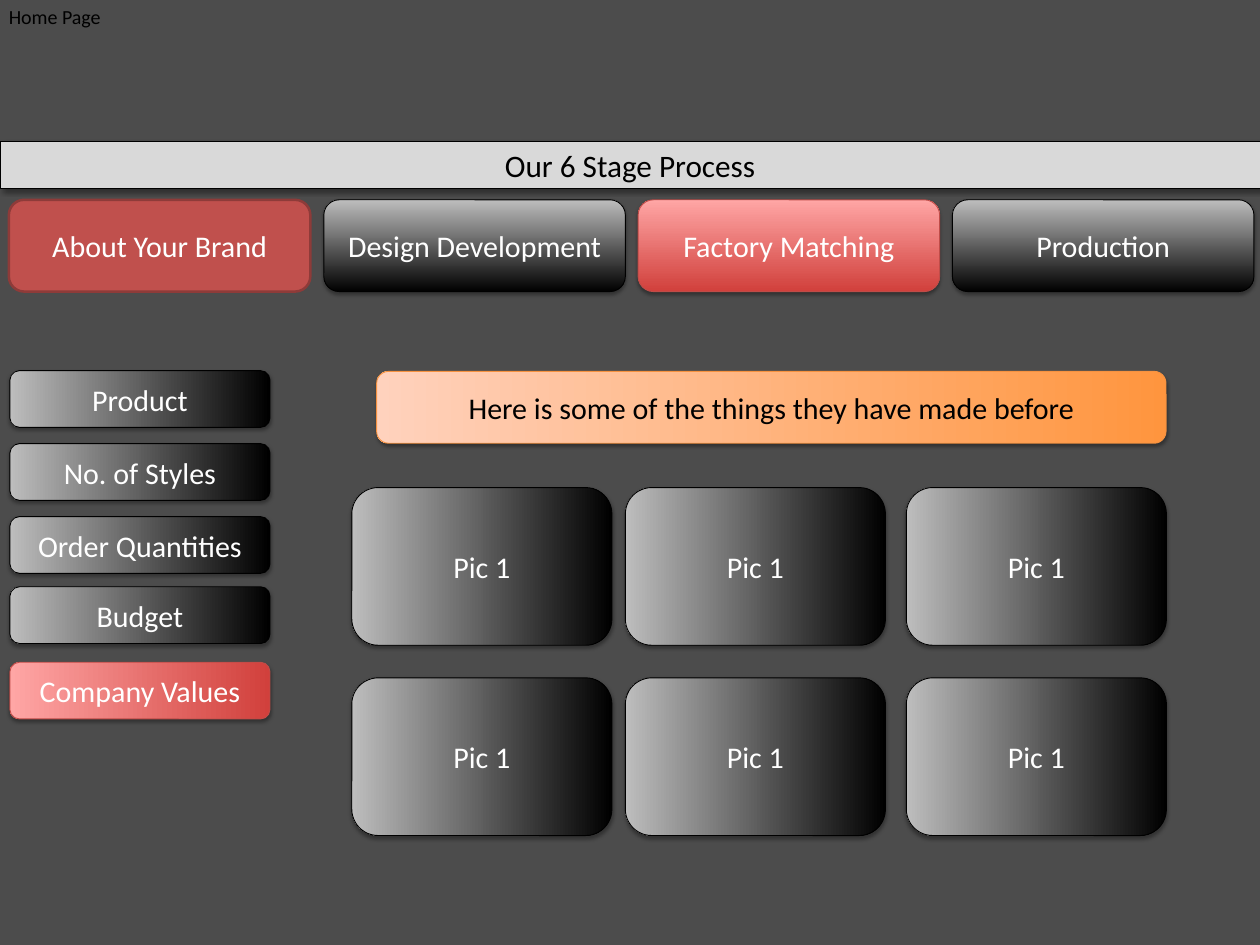
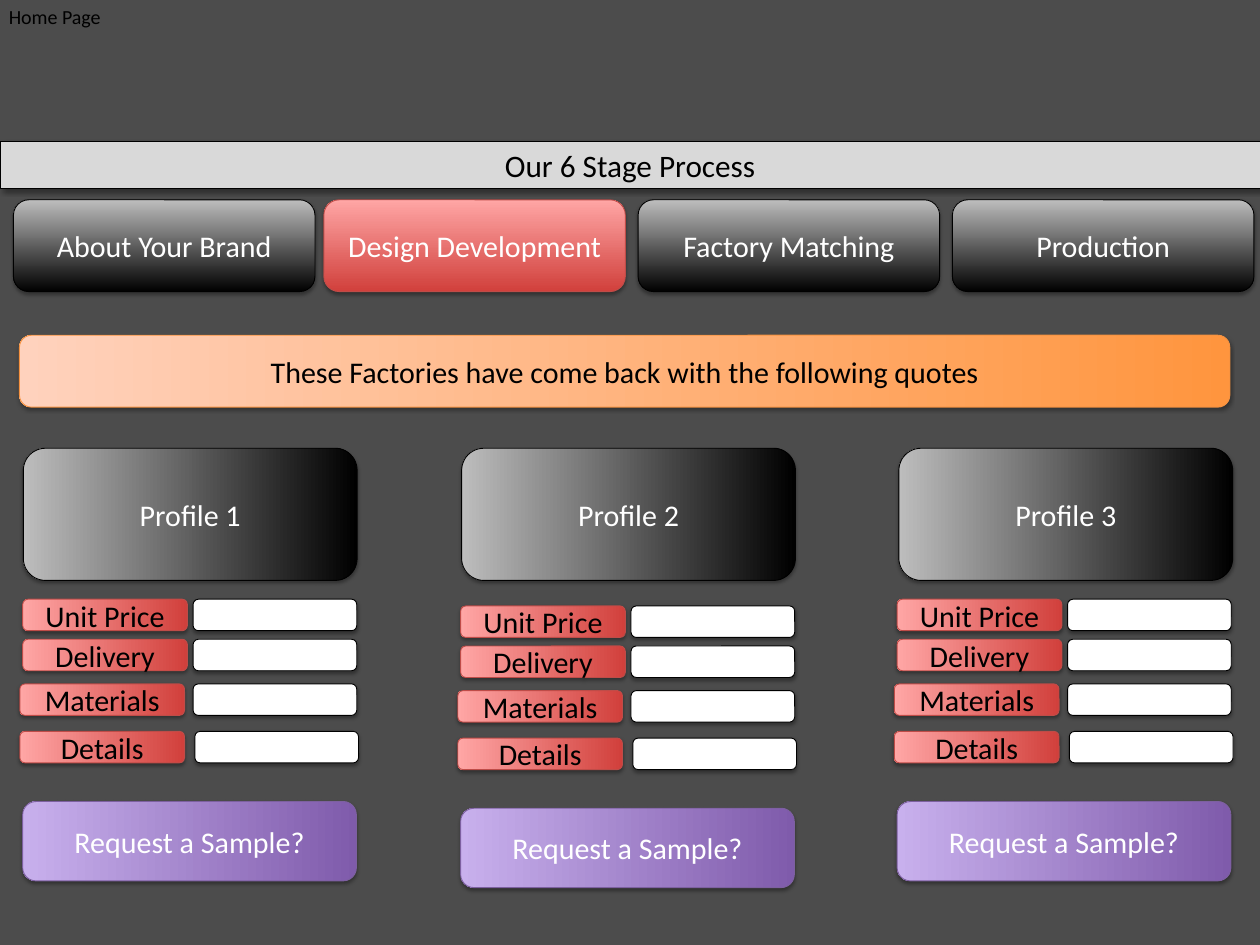
from lxml import etree
from pptx import Presentation
from pptx import util as u
from pptx.dml.color import RGBColor
from pptx.enum import shapes, text
from pptx.oxml import ns

Cm = u.Cm
FONT = "Calibri"
COLORS = {
    "page": "4C4C4C", "black": "000000", "white": "FFFFFF", "bar": "D9D9D9",
    "flat_red": "C0504D", "flat_red_line": "8E3B39",
}
# Each style: gradient start, gradient end, outline
GRADIENTS = {
    "black": ("000000", "BDBDBD", "000000"),
    "red": ("D1403C", "FFA6A5", "BF4C48"),
    "orange": ("FF953E", "FFD2BD", "F69240"),
    "purple": ("7F5BAB", "C8B0ED", "7D60A0"),
}
STAGES = ["About Your Brand", "Design Development", "Factory Matching", "Production"]
NAV_LEFT, NAV_STEP = 9.14, 8.87
TOPICS = [("Product", 10.46), ("No. of Styles", 12.52), ("Order Quantities", 14.58),
          ("Budget", 16.56), ("Company Values", 18.69)]
# Quote rows: label, top, label shift, field shift
QUOTE_ROWS = [("Unit Price", 16.91, 0, 0), ("Delivery", 18.04, 0, 0),
              ("Materials", 19.3, -0.08, 0), ("Details", 20.64, -0.08, 0.05)]


def rgb(value):
    """Turn a hex string into a colour."""
    return RGBColor.from_string(value)


def write_text(tf, content, size=24, color="white", align=text.PP_ALIGN.CENTER,
               anchor=text.MSO_ANCHOR.MIDDLE, auto_size=text.MSO_AUTO_SIZE.NONE):
    """Write one formatted line into a text frame."""
    tf.word_wrap = True
    tf.auto_size = auto_size
    tf.vertical_anchor = anchor
    p = tf.paragraphs[0]
    p.alignment = align
    r = p.add_run()
    r.text = content
    r.font.name = FONT
    r.font.size = u.Pt(size)
    r.font.color.rgb = rgb(COLORS[color])


def add_shadow(sp, alpha=35, blur=3.1, dist=1.8, angle=90):
    """Give a shape a soft black shadow that ignores its rotation."""
    sp.shadow.inherit = False
    effects = sp._element.spPr.find(ns.qn("a:effectLst"))
    shadow = etree.SubElement(
        effects, ns.qn("a:outerShdw"), blurRad=str(u.Pt(blur)), dist=str(u.Pt(dist)),
        dir=str(angle * 60000), rotWithShape="0")
    color = etree.SubElement(shadow, ns.qn("a:srgbClr"), val=COLORS["black"])
    etree.SubElement(color, ns.qn("a:alpha"), val=str(alpha * 1000))


def paint(sp, fill, line, width=0.75):
    """Set a plain fill and an outline from hex strings."""
    sp.fill.solid()
    sp.fill.fore_color.rgb = rgb(fill)
    sp.line.color.rgb = rgb(line)
    sp.line.width = u.Pt(width)


def paint_gradient(sp, style):
    """Fill a shape with a two-colour gradient and outline it."""
    start, end, line = GRADIENTS[style]
    sp.fill.gradient()
    sp.fill.gradient_angle = 90
    for stop, color in zip(sp.fill.gradient_stops, (start, end)):
        stop.color.rgb = rgb(color)
    sp.line.color.rgb = rgb(line)
    sp.line.width = u.Pt(0.75)


def add_box(s, x, y, w, h):
    """Add an upright rounded box."""
    sp = s.shapes.add_shape(shapes.MSO_SHAPE.ROUNDED_RECTANGLE, Cm(x), Cm(y), Cm(w), Cm(h))
    sp.shadow.inherit = False
    return sp


def add_turned_box(s, x, y, w, h):
    """Add a box turned by 270 degrees that covers x, y, w, h, with level text."""
    sp = add_box(s, x + (w - h) / 2, y + (h - w) / 2, h, w)
    sp.rotation = 270
    sp.text_frame._txBody.bodyPr.set("vert", "vert")
    return sp


def add_button(s, label, x, y, w, h, style="black", color="white", turned=True):
    """Add a labelled gradient button with a shadow."""
    sp = (add_turned_box if turned else add_box)(s, x, y, w, h)
    paint_gradient(sp, style)
    add_shadow(sp)
    write_text(sp.text_frame, label, color=color)


def add_field(s, x, y, w, h):
    """Add an empty white field."""
    sp = add_turned_box(s, x, y, w, h)
    paint(sp, COLORS["white"], COLORS["black"])
    add_shadow(sp)


def add_title_bar(s, title):
    """Turn the title placeholder into the rounded bar across the page."""
    sp = s.shapes.title
    sp.left, sp.top, sp.width, sp.height = Cm(0), Cm(3.99), Cm(35.56), Cm(1.32)
    geometry = etree.SubElement(sp._element.spPr, ns.qn("a:prstGeom"), prst="roundRect")
    etree.SubElement(geometry, ns.qn("a:avLst"))
    paint(sp, COLORS["bar"], COLORS["black"])
    add_shadow(sp, alpha=40, blur=4, dist=3, angle=45)
    write_text(sp.text_frame, title, size=25, color="black")


def add_page(prs):
    """Add a slide with the dark background, page name and title bar."""
    s = prs.slides.add_slide(prs.slide_layouts[5])
    s.background.fill.solid()
    s.background.fill.fore_color.rgb = rgb(COLORS["page"])
    add_title_bar(s, "Our 6 Stage Process")
    sp = s.shapes.add_textbox(Cm(0), Cm(0), Cm(14.33), Cm(0.94))
    write_text(sp.text_frame, "Home Page", size=16, color="black",
               align=text.PP_ALIGN.LEFT, anchor=text.MSO_ANCHOR.TOP,
               auto_size=text.MSO_AUTO_SIZE.SHAPE_TO_FIT_TEXT)
    return s


def add_navigation(s, current, first_left, flat_first=False):
    """Add the row of stage buttons, with the current stage in red."""
    y, w, h = 5.64, 8.51, 2.59
    for i, stage in enumerate(STAGES):
        x = NAV_LEFT + (i - 1) * NAV_STEP if i else first_left
        if flat_first and i == 0:
            sp = add_box(s, x, y, w, h)
            paint(sp, COLORS["flat_red"], COLORS["flat_red_line"], width=2)
            write_text(sp.text_frame, stage)
        else:
            style = "red" if stage == current else "black"
            add_button(s, stage, x, y, w, h, style, turned=False)


def add_factory_page(prs):
    """Build the page on what the factory made before."""
    s = add_page(prs)
    add_navigation(s, "Factory Matching", first_left=0.25, flat_first=True)
    for topic, y in TOPICS:
        style = "red" if topic == "Company Values" else "black"
        add_button(s, topic, 0.28, y, 7.34, 1.6, style)
    add_button(s, "Here is some of the things they have made before",
               10.63, 10.48, 22.28, 2.03, "orange", "black")
    for y in (13.76, 19.13):
        for x in (9.93, 17.65, 25.58):
            add_button(s, "Pic 1", x, y, 7.34, 4.45)


def add_quote(s, x, dy):
    """Add one factory's quote rows and its request button."""
    for label, y, label_dx, field_dx in QUOTE_ROWS:
        add_button(s, label, x + label_dx, y + dy, 4.65, 0.89, "red", "black")
        add_field(s, x + 4.81 + field_dx, y + dy, 4.62, 0.89)
    add_button(s, "Request a Sample?", x, 22.62 + dy, 9.42, 2.24, "purple")


def add_quotes_page(prs):
    """Build the page that compares three factory quotes."""
    s = add_page(prs)
    add_navigation(s, "Design Development", first_left=0.38)
    add_button(s, "These Factories have come back with the following quotes",
               0.55, 9.46, 34.16, 2.03, "orange", "black")
    columns = [(0.66, 0.64, 0), (13.03, 13, 0.19), (25.37, 25.32, 0)]
    for number, (profile_x, quote_x, dy) in enumerate(columns, 1):
        add_button(s, f"Profile {number}", profile_x, 12.65, 9.42, 3.73)
        add_quote(s, quote_x, dy)


def main():
    """Build and save the presentation."""
    prs = Presentation()
    prs.slide_width, prs.slide_height = Cm(35.56), Cm(26.67)
    add_factory_page(prs)
    add_quotes_page(prs)
    prs.save("out.pptx")


main()
